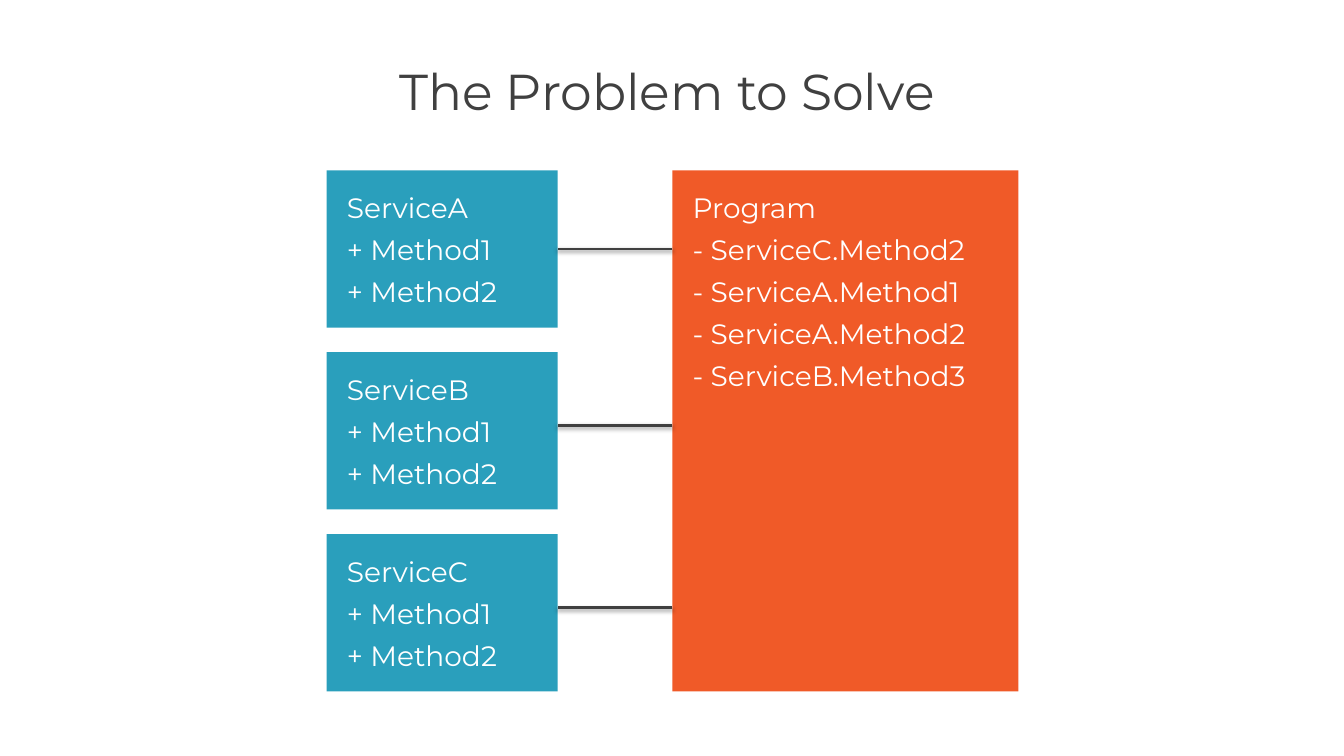
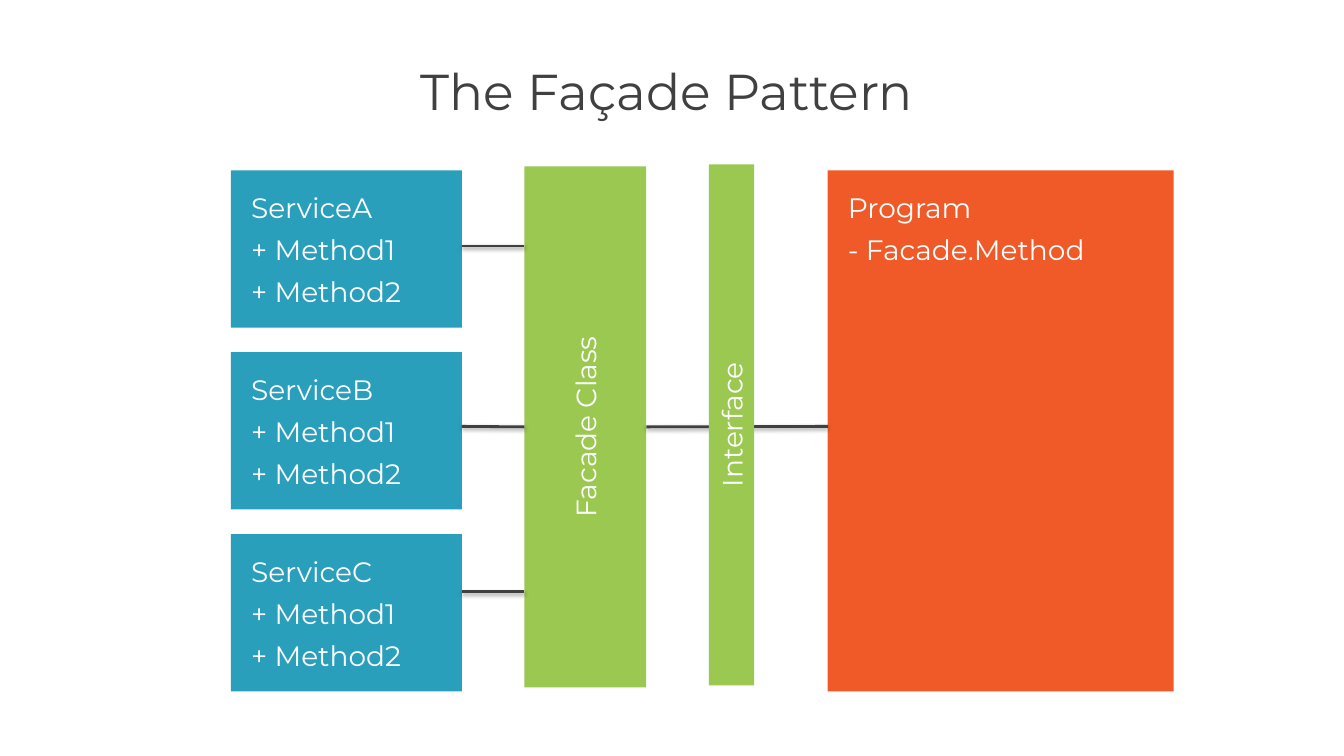
from dataclasses import dataclass
from typing import Optional

from lxml.etree import SubElement
from pptx import Presentation
from pptx.dml.color import RGBColor
from pptx.enum.shapes import MSO_CONNECTOR as Connector, MSO_SHAPE as Preset
from pptx.enum.text import MSO_ANCHOR as Anchor, MSO_AUTO_SIZE as AutoSize, PP_ALIGN as Align
from pptx.oxml.ns import qn
from pptx.util import Inches, Pt

# Shared look
COLORS = {"ink": "404040", "service": "2A9FBC", "program": "F05A28",
          "facade": "9BC850", "text": "FFFFFF", "shadow": "000000"}
FONT = "Montserrat"
TITLE_SIZE, BODY_SIZE = 36, 20
PADDING = 0.2

# Shared grid, in inches: three service rows fill the height of the program
WIDTH, HEIGHT = 13.33, 7.5
GRID_TOP, GRID_HEIGHT = 1.69, 5.17
SERVICES = ("ServiceA", "ServiceB", "ServiceC")
SERVICE_WIDTH, SERVICE_HEIGHT = 2.29, 1.56
ROW_STEP = (GRID_HEIGHT - SERVICE_HEIGHT) / (len(SERVICES) - 1)
PROGRAM_WIDTH = 3.43
JOIN_TOLERANCE = 0.01
LEFT_SIDE, RIGHT_SIDE = 1, 3


@dataclass
class Block:
    left: float
    width: float
    color: str
    lines: tuple[str, ...]
    top: float = GRID_TOP
    height: float = GRID_HEIGHT
    upright: bool = False
    box: Optional[object] = None

    @property
    def right(self) -> float:
        return self.left + self.width

    @property
    def middle(self) -> float:
        return self.top + self.height / 2


def color(name: str) -> RGBColor:
    return RGBColor.from_string(COLORS[name])


def format_text(para, size: int, color_name: str) -> None:
    for span in para.runs:
        span.font.name = FONT
        span.font.size = Pt(size)
        span.font.color.rgb = color(color_name)


def add_page(deck, title: str):
    page = deck.slides.add_slide(deck.slide_layouts[5])
    box = page.shapes.title
    box.left, box.top = Inches(0.77), Inches(0.64)
    box.width, box.height = Inches(11.79), Inches(0.48)
    frame = box.text_frame
    frame.text = title
    frame.word_wrap = True
    frame.auto_size = AutoSize.NONE
    frame.vertical_anchor = Anchor.TOP
    frame.margin_left, frame.margin_right = 0, Inches(0.1)
    frame.margin_top = frame.margin_bottom = Inches(0.05)
    para = frame.paragraphs[0]
    para.alignment = Align.CENTER
    para.line_spacing = 0.85
    format_text(para, TITLE_SIZE, "ink")
    return page


def draw_block(page, block: Block) -> Block:
    box = page.shapes.add_shape(
        Preset.RECTANGLE, Inches(block.left), Inches(block.top),
        Inches(block.width), Inches(block.height))
    box.shadow.inherit = False
    box.fill.solid()
    box.fill.fore_color.rgb = color(block.color)
    box.line.fill.background()
    frame = box.text_frame
    frame.word_wrap = True
    frame.vertical_anchor = Anchor.MIDDLE if block.upright else Anchor.TOP
    frame.margin_left = frame.margin_right = Inches(PADDING)
    frame.margin_top = frame.margin_bottom = Inches(PADDING)
    if block.upright:
        box.element.find(".//" + qn("a:bodyPr")).set("vert", "vert270")
    for index, line in enumerate(block.lines):
        para = frame.add_paragraph() if index else frame.paragraphs[0]
        para.text = line
        para.alignment = Align.CENTER if block.upright else Align.LEFT
        para.space_before = Pt(6)
        format_text(para, BODY_SIZE, "text")
    block.box = box
    return block


def draw_services(page, left: float) -> list[Block]:
    return [draw_block(page, Block(left, SERVICE_WIDTH, "service",
                                   (name, "+ Method1", "+ Method2"),
                                   top=GRID_TOP + row * ROW_STEP, height=SERVICE_HEIGHT))
            for row, name in enumerate(SERVICES)]


def add_shadow(connector) -> None:
    effects = SubElement(connector.element.find(qn("p:spPr")), qn("a:effectLst"))
    shadow = SubElement(effects, qn("a:outerShdw"), blurRad=str(Pt(3.1)),
                        dist=str(Pt(1.6)), dir="5400000", rotWithShape="0")
    shade = SubElement(shadow, qn("a:srgbClr"), val=COLORS["shadow"])
    SubElement(shade, qn("a:alpha"), val="38000")


def link(page, source: Block, target: Block, level: float) -> None:
    """Draw a level line from the left side of source to the right side of target."""
    connector = page.shapes.add_connector(
        Connector.STRAIGHT, Inches(source.left), Inches(level),
        Inches(target.right), Inches(level))
    connector.line.color.rgb = color("ink")
    connector.line.width = Pt(2)
    add_shadow(connector)
    if abs(source.middle - level) < JOIN_TOLERANCE:
        connector.begin_connect(source.box, LEFT_SIDE)
    if abs(target.middle - level) < JOIN_TOLERANCE:
        connector.end_connect(target.box, RIGHT_SIDE)


def build_problem(deck) -> None:
    page = add_page(deck, "The Problem to Solve")
    services = draw_services(page, 3.24)
    program = draw_block(page, Block(
        6.67, PROGRAM_WIDTH, "program",
        ("Program", "- ServiceC.Method2", "- ServiceA.Method1",
         "- ServiceA.Method2", "- ServiceB.Method3")))
    for service, level in zip(services, (2.47, 4.22, 6.03)):
        link(page, program, service, level)


def build_facade(deck) -> None:
    page = add_page(deck, "The Façade Pattern")
    services = draw_services(page, 2.29)
    program = draw_block(page, Block(
        8.21, PROGRAM_WIDTH, "program", ("Program", "- Facade.Method")))
    facade = draw_block(page, Block(
        5.2, 1.21, "facade", ("Facade Class",), top=1.65, upright=True))
    for service, level in zip(services, (2.44, 4.23, 5.87)):
        link(page, facade, service, level)
    link(page, program, facade, 4.23)
    # The interface sits on top of the line between facade and program
    draw_block(page, Block(
        7.03, 0.45, "facade", ("Interface",), top=1.63, upright=True))


def main() -> None:
    deck = Presentation()
    deck.slide_width, deck.slide_height = Inches(WIDTH), Inches(HEIGHT)
    build_problem(deck)
    build_facade(deck)
    deck.save("out.pptx")


if __name__ == "__main__":
    main()
